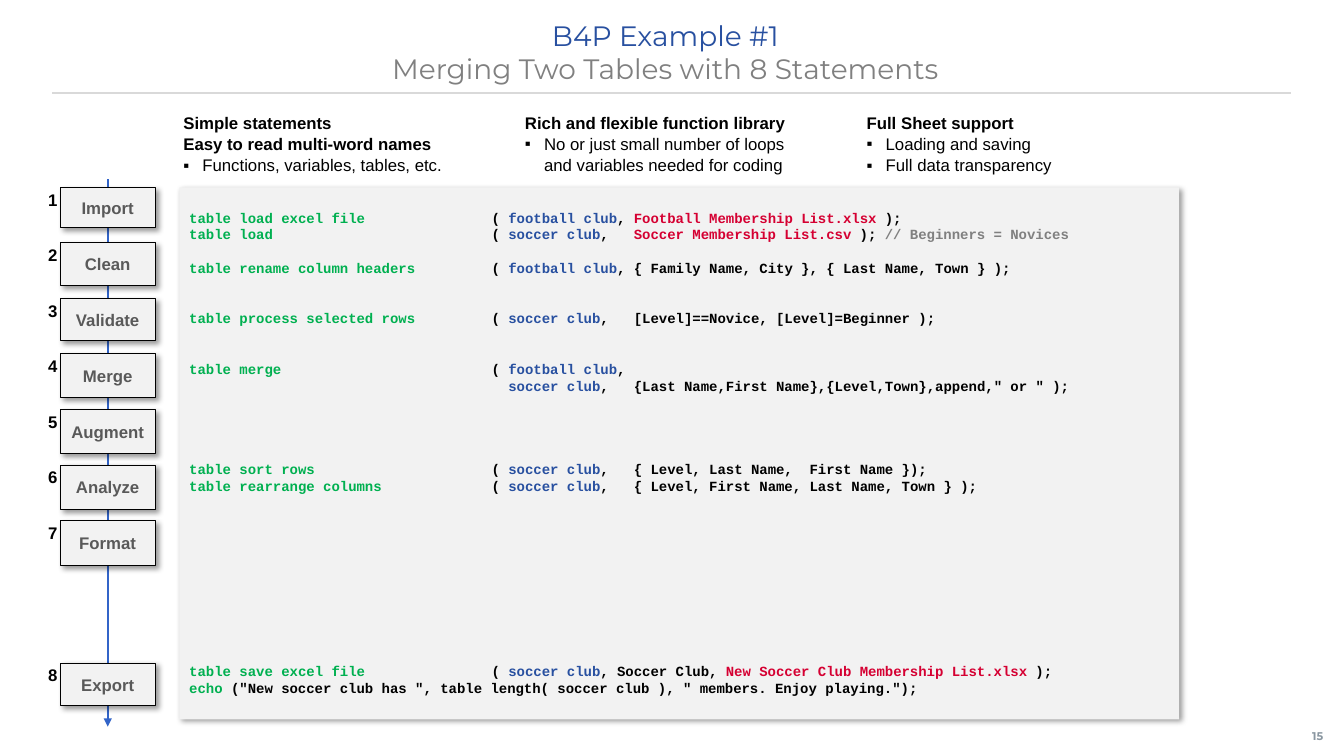
from lxml.etree import SubElement
from pptx import Presentation
from pptx.dml.color import RGBColor
from pptx.enum.shapes import MSO_CONNECTOR, MSO_SHAPE
from pptx.enum.text import MSO_ANCHOR, MSO_AUTO_SIZE, PP_ALIGN
from pptx.oxml.ns import qn
from pptx.util import Cm, Pt

COLORS = {
    "blue": "2850A0", "arrow": "3264C8", "green": "00B050", "red": "D50032",
    "grey": "808080", "label": "595959", "number": "8996A0", "rule": "D9D9D9",
    "panel": "F2F2F2", "black": "000000",
}

TITLE = [("B4P Example #1\n", "blue"), ("Merging Two Tables with 8 Statements", "grey")]
PAGE_NUMBER = "15"

# Each column: headings, then bullets
COLUMNS = [
    (["Simple statements", "Easy to read multi-word names"],
     ["Functions, variables, tables, etc."]),
    (["Rich and flexible function library"],
     ["No or just small number of loops\nand variables needed for coding"]),
    (["Full Sheet support"],
     ["Loading and saving", "Full data transparency"]),
]

# Label and box height in cm
STEPS = [("Import", 1.02), ("Clean", 1.07), ("Validate", 1.07), ("Merge", 1.09),
         ("Augment", 1.12), ("Analyze", 1.12), ("Format", 1.12), ("Export", 1.07)]

# Empty lines above, then the coloured pieces of the statement
CODE = [
    (0, [("table load excel file", "green"), ("\t( ", "black"), ("football club", "blue"),
         (", ", "black"), ("Football Membership List.xlsx", "red"), (" );", "black")]),
    (0, [("table load", "green"), ("\t( ", "black"), ("soccer club", "blue"),
         (",   ", "black"), ("Soccer Membership List.csv ", "red"), ("); ", "black"),
         ("// Beginners = Novices", "grey")]),
    (1, [("table rename column headers", "green"), ("\t( ", "black"),
         ("football club", "blue"),
         (", { Family Name, City }, { Last Name, Town } );", "black")]),
    (2, [("table process selected rows", "green"), ("\t( ", "black"),
         ("soccer club", "blue"), (",   [Level]==Novice, [Level]=Beginner );", "black")]),
    (2, [("table merge", "green"), ("\t( ", "black"), ("football club", "blue"),
         (",", "black")]),
    (0, [("\t  soccer club", "blue"),
         (',   {Last Name,First Name},{Level,Town},append," or " );', "black")]),
    (4, [("table sort rows", "green"), ("\t( ", "black"), ("soccer club", "blue"),
         (",   { Level, Last Name,  First Name });", "black")]),
    (0, [("table rearrange columns", "green"), ("\t( ", "black"), ("soccer club", "blue"),
         (",   { Level, First Name, Last Name, Town } );", "black")]),
    (10, [("table save excel file", "green"), ("\t( ", "black"), ("soccer club", "blue"),
          (", Soccer Club, ", "black"), ("New Soccer Club Membership List.xlsx", "red"),
          (" );", "black")]),
    (0, [("echo ", "green"),
         ('("New soccer club has ", table length( soccer club ), " members. Enjoy playing.");',
          "black")]),
]

STEP_LEFT, STEP_TOP, STEP_PITCH, STEP_WIDTH = 1.52, 4.72, 1.4, 2.39
EXPORT_TOP = 16.71
COLUMN_LEFT, COLUMN_PITCH = 4.52, 8.61
CODE_LINE = 12


def rgb(color):
    return RGBColor.from_string(COLORS[color])


def write(paragraph, text, size=12, font="Arial", color="black", bold=False):
    for index, line in enumerate(text.split("\n")):
        if index:
            paragraph.add_line_break()
        if line:
            run = paragraph.add_run()
            run.text = line
            run.font.size, run.font.name, run.font.bold = Pt(size), font, bold
            run.font.color.rgb = rgb(color)


def place(shape, left, top, width, height):
    shape.left, shape.top = Cm(left), Cm(top)
    shape.width, shape.height = Cm(width), Cm(height)


def set_frame(shape, insets, anchor=MSO_ANCHOR.TOP, wrap=True):
    """Set insets (left, top, right, bottom in cm), anchor and wrapping."""
    frame = shape.text_frame
    frame.auto_size = MSO_AUTO_SIZE.NONE
    frame.word_wrap, frame.vertical_anchor = wrap, anchor
    (frame.margin_left, frame.margin_top,
     frame.margin_right, frame.margin_bottom) = map(Cm, insets)
    return frame


def next_paragraph(frame, index, align=PP_ALIGN.LEFT):
    paragraph = frame.add_paragraph() if index else frame.paragraphs[0]
    paragraph.alignment = align
    paragraph.space_before = Pt(0)
    return paragraph


def add_panel(slide, left, top, width, height):
    """Add a light rectangle with a soft shadow to the lower right."""
    panel = slide.shapes.add_shape(MSO_SHAPE.RECTANGLE, Cm(left), Cm(top),
                                   Cm(width), Cm(height))
    panel.fill.solid()
    panel.fill.fore_color.rgb = rgb("panel")
    panel.line.fill.background()
    panel.shadow.inherit = False
    effects = panel.element.spPr.find(qn("a:effectLst"))
    shadow = SubElement(effects, qn("a:outerShdw"), blurRad=str(Pt(4)), dist=str(Pt(3)),
                        dir="2700000", algn="tl", rotWithShape="0")
    tone = SubElement(shadow, qn("a:srgbClr"), val=COLORS["black"])
    SubElement(tone, qn("a:alpha"), val="40000")
    return panel


def add_line(slide, start, end, color, width):
    line = slide.shapes.add_connector(MSO_CONNECTOR.STRAIGHT, *map(Cm, start + end))
    line.line.color.rgb = rgb(color)
    line.line.width = Pt(width)
    SubElement(line.element.spPr, qn("a:effectLst"))
    return line


def add_label(slide, box, text, align, insets, wrap=True, **style):
    label = slide.shapes.add_textbox(*map(Cm, box))
    frame = set_frame(label, insets, MSO_ANCHOR.MIDDLE, wrap)
    write(next_paragraph(frame, 0, align), text, bold=True, **style)


def fill_title(title):
    place(title, 1.3, 0.33, 31.19, 2.01)
    paragraph = next_paragraph(set_frame(title, (0, 0.13, 0.25, 0.13)), 0, PP_ALIGN.CENTER)
    for text, color in TITLE:
        write(paragraph, text, size=20, font="Montserrat", color=color)


def fill_column(body, index, headings, bullets):
    place(body, COLUMN_LEFT + index * COLUMN_PITCH, 2.72, 8, 1.8)
    frame = set_frame(body, (0.1, 0.1, 0.1, 0.1))
    for row, text in enumerate(headings + bullets):
        is_heading = row < len(headings)
        paragraph = next_paragraph(frame, row)
        paragraph.line_spacing = 1.05
        indent = 0 if is_heading else Cm(0.48)
        properties = paragraph._p.get_or_add_pPr()
        properties.set("marL", str(indent))
        properties.set("indent", str(-indent))
        if is_heading:
            SubElement(properties, qn("a:buNone"))
        else:
            SubElement(properties, qn("a:buFont"), typeface="Arial")
            SubElement(properties, qn("a:buChar"), char="▪")
        write(paragraph, text, bold=is_heading)


def add_code(slide):
    panel = add_panel(slide, COLUMN_LEFT, STEP_TOP, 25.2, 13.41)
    frame = set_frame(panel, (0.25, 0.55, 0.25, 0.13))
    for row, (empty_lines, pieces) in enumerate(CODE):
        paragraph = next_paragraph(frame, row)
        paragraph.line_spacing = Pt(CODE_LINE)
        paragraph.space_before = Pt(CODE_LINE * empty_lines)
        tabs = SubElement(paragraph._p.get_or_add_pPr(), qn("a:tabLst"))
        SubElement(tabs, qn("a:tab"), pos=str(Cm(7.62)), algn="l")
        for text, color in pieces:
            write(paragraph, text, size=10, font="Courier New", color=color, bold=True)


def add_steps(slide):
    middle = STEP_LEFT + STEP_WIDTH / 2
    arrow = add_line(slide, (middle, 4.52), (middle, 18.31), "arrow", 1.75)
    SubElement(arrow.line._get_or_add_ln(), qn("a:tailEnd"), type="triangle")
    for index, (name, height) in enumerate(STEPS):
        top = EXPORT_TOP if name == "Export" else STEP_TOP + index * STEP_PITCH
        step = add_panel(slide, STEP_LEFT, top, STEP_WIDTH, height)
        step.line.color.rgb = rgb("black")
        step.line.width = Pt(0.75)
        frame = set_frame(step, (0.1, 0.1, 0.1, 0.1), MSO_ANCHOR.MIDDLE, wrap=False)
        write(next_paragraph(frame, 0, PP_ALIGN.CENTER), name, color="label", bold=True)
        add_label(slide, (0.94, top, 0.61, 0.61), str(index + 1), PP_ALIGN.RIGHT,
                  (0.1, 0.1, 0.1, 0.1))


def main():
    deck = Presentation()
    deck.slide_width, deck.slide_height = Cm(33.87), Cm(19.05)
    comparison = deck.slide_layouts[4]
    slide = deck.slides.add_slide(comparison)
    title, *bodies = slide.placeholders
    fill_title(title)
    for index, (headings, bullets) in enumerate(COLUMNS):
        fill_column(bodies[index], index, headings, bullets)
    for spare in bodies[len(COLUMNS):]:
        spare.element.getparent().remove(spare.element)
    add_line(slide, (1.32, 2.34), (32.54, 2.34), "rule", 1)
    add_code(slide)
    add_steps(slide)
    add_label(slide, (32.74, 18.06, 1.14, 0.99), PAGE_NUMBER, PP_ALIGN.CENTER,
              (0, 0.13, 0.2, 0.13), wrap=False, size=8, font="Montserrat", color="number")
    deck.save("out.pptx")


if __name__ == "__main__":
    main()
